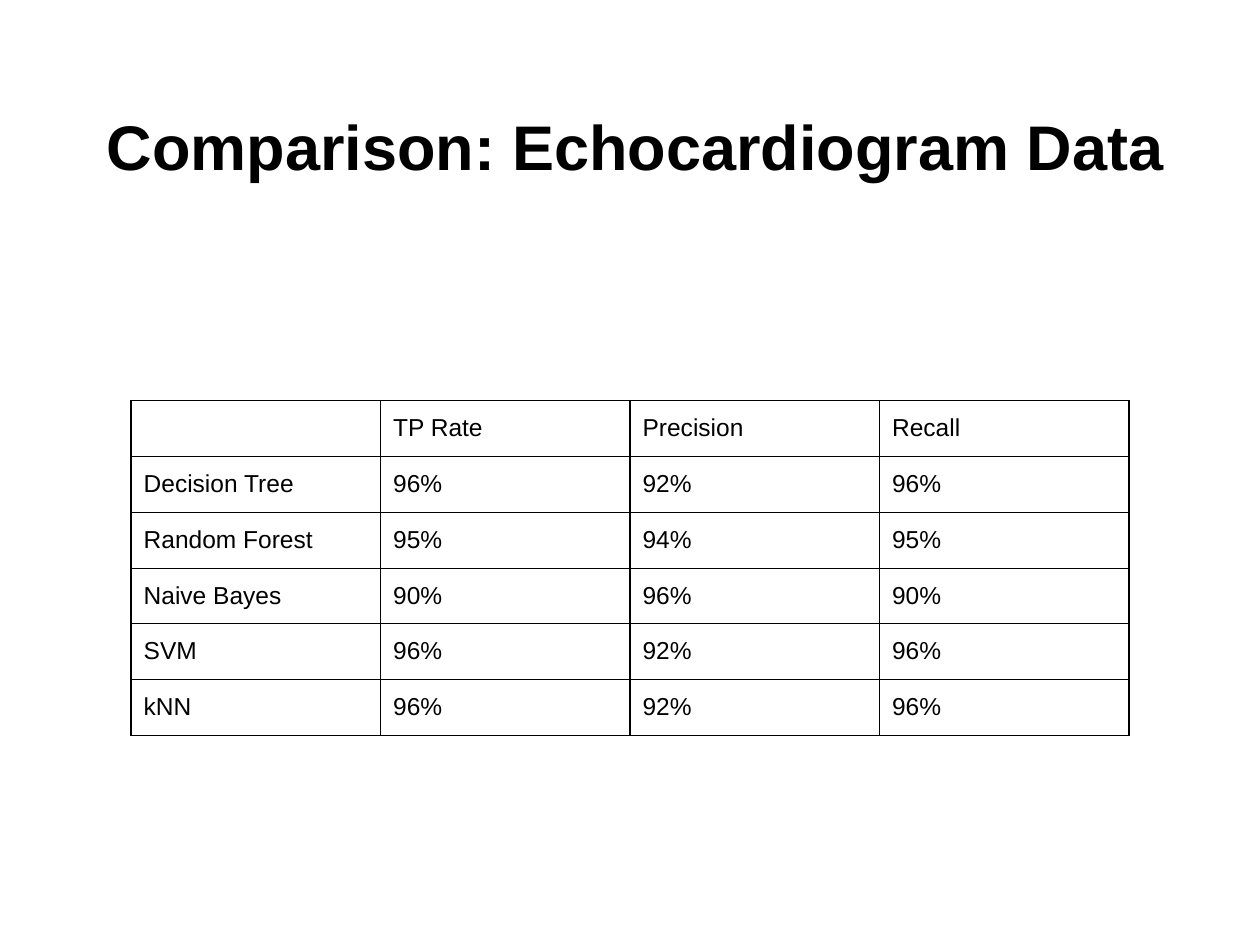
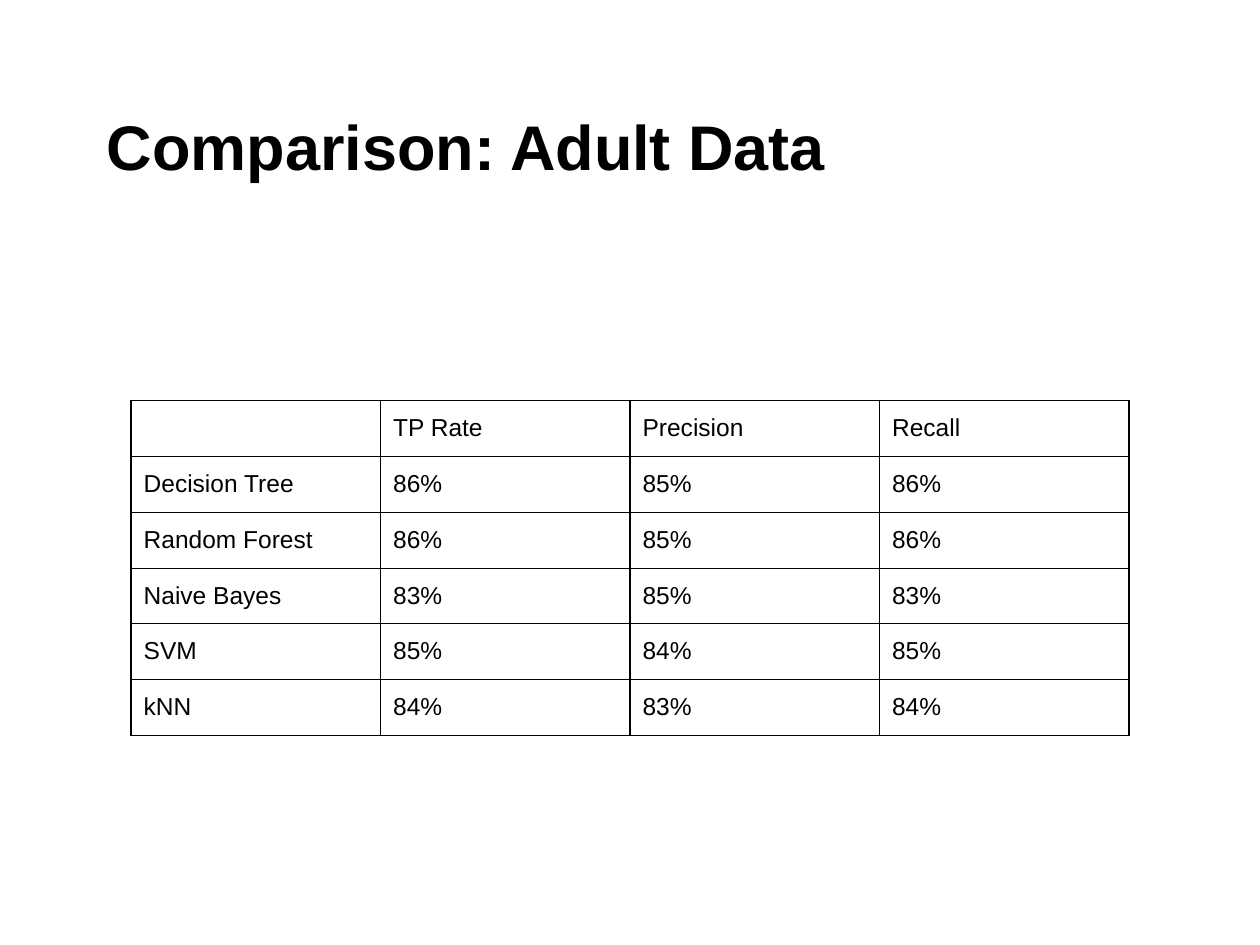
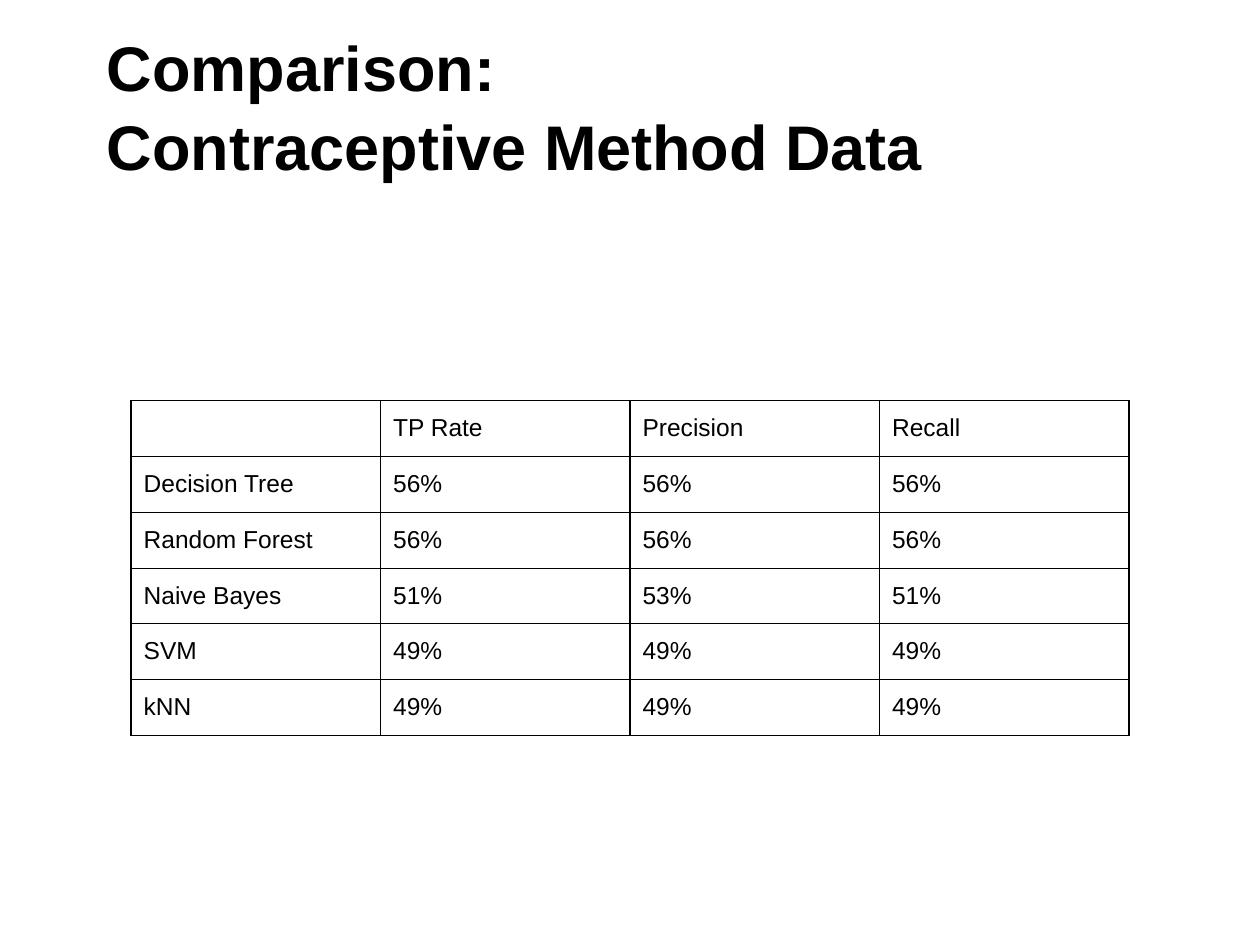
from dataclasses import dataclass

from lxml.etree import SubElement
from pptx import Presentation
from pptx.dml.color import RGBColor
from pptx.enum.text import MSO_ANCHOR as Anchor
from pptx.oxml.ns import qn
from pptx.util import Emu, Pt

PX = 9144


@dataclass(frozen=True)
class Theme:
    font: str = "Arial"
    ink: str = "000000"
    title_size: int = 36
    cell_size: int = 14
    line_spacing: float = 1.04
    border_width: float = 0.75
    inset: int = 10
    title_indent: int = 25


THEME = Theme()
SLIDE_SIZE = (1000, 750)
TITLE_BOX = (50, 30, 900, 125)
TABLE_BOX = (104, 318, 792, 260)
METRICS = ["", "TP Rate", "Precision", "Recall"]
METHODS = ["Decision Tree", "Random Forest", "Naive Bayes", "SVM", "kNN"]
COMPARISONS = [
    (
        "Comparison: Echocardiogram Data",
        [(96, 92, 96), (95, 94, 95), (90, 96, 90), (96, 92, 96), (96, 92, 96)],
    ),
    (
        "Comparison: Adult Data",
        [(86, 85, 86), (86, 85, 86), (83, 85, 83), (85, 84, 85), (84, 83, 84)],
    ),
    (
        "Comparison:\nContraceptive Method Data",
        [(56, 56, 56), (56, 56, 56), (51, 53, 51), (49, 49, 49), (49, 49, 49)],
    ),
]


def px(length):
    return Emu(round(length * PX))


def write_text(frame, text, size, bold=False, indent=0):
    frame.text = text
    for paragraph in frame.paragraphs:
        paragraph.line_spacing = THEME.line_spacing
        if indent:
            properties = paragraph._p.get_or_add_pPr()
            properties.set("marL", "0")
            properties.set("indent", str(px(indent)))
        for run in paragraph.runs:
            run.font.name = THEME.font
            run.font.size = Pt(size)
            run.font.bold = bold
            run.font.color.rgb = RGBColor.from_string(THEME.ink)
        if not paragraph.runs:
            paragraph._p.get_or_add_endParaRPr().set("sz", str(size * 100))


def set_insets(target):
    target.margin_left = target.margin_right = px(THEME.inset)
    target.margin_top = target.margin_bottom = px(THEME.inset)


def add_title(slide, box, text):
    frame = slide.shapes.add_textbox(*map(px, box)).text_frame
    frame.word_wrap = True
    frame.vertical_anchor = Anchor.BOTTOM
    set_insets(frame)
    write_text(frame, text, THEME.title_size, bold=True, indent=THEME.title_indent)


def add_borders(cell):
    properties = cell._tc.get_or_add_tcPr()
    for side in ("a:lnL", "a:lnR", "a:lnT", "a:lnB"):
        line = SubElement(properties, qn(side), w=str(Pt(THEME.border_width)))
        fill = SubElement(line, qn("a:solidFill"))
        SubElement(fill, qn("a:srgbClr"), val=THEME.ink)


def add_score_table(slide, box, scores):
    rows = [METRICS] + [
        [method, *(f"{value}%" for value in values)]
        for method, values in zip(METHODS, scores)
    ]
    frame = slide.shapes.add_table(len(rows), len(METRICS), *map(px, box))
    table = frame.table
    table.first_row = table.horz_banding = False
    for row_index, row in enumerate(rows):
        for column_index, text in enumerate(row):
            cell = table.cell(row_index, column_index)
            set_insets(cell)
            add_borders(cell)
            cell.fill.background()
            write_text(cell.text_frame, text, THEME.cell_size)


def add_comparison_slide(presentation, title, scores):
    slide = presentation.slides.add_slide(presentation.slide_layouts[6])
    add_title(slide, TITLE_BOX, title)
    add_score_table(slide, TABLE_BOX, scores)


def main():
    presentation = Presentation()
    presentation.slide_width, presentation.slide_height = map(px, SLIDE_SIZE)
    for title, scores in COMPARISONS:
        add_comparison_slide(presentation, title, scores)
    presentation.save("out.pptx")


if __name__ == "__main__":
    main()
